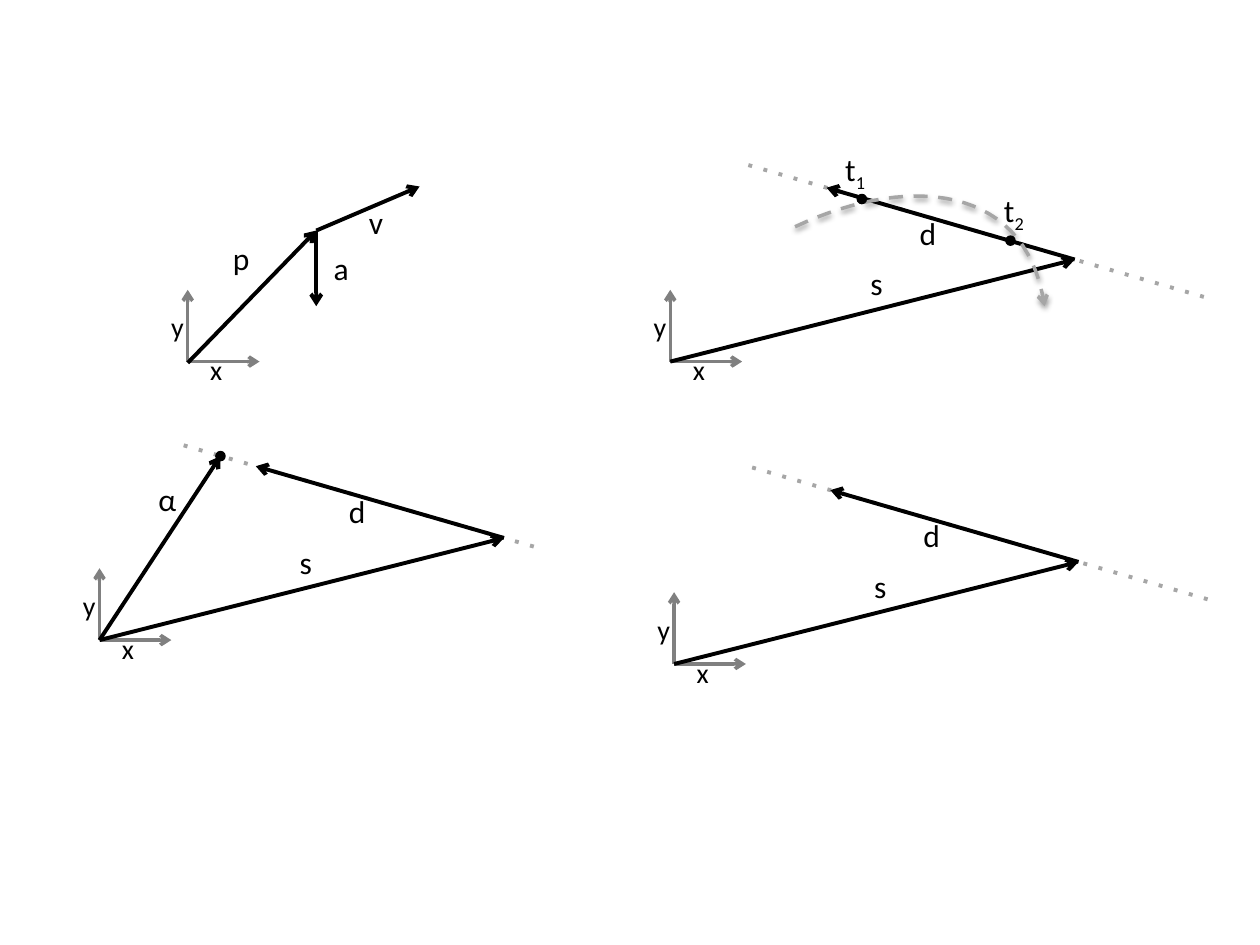
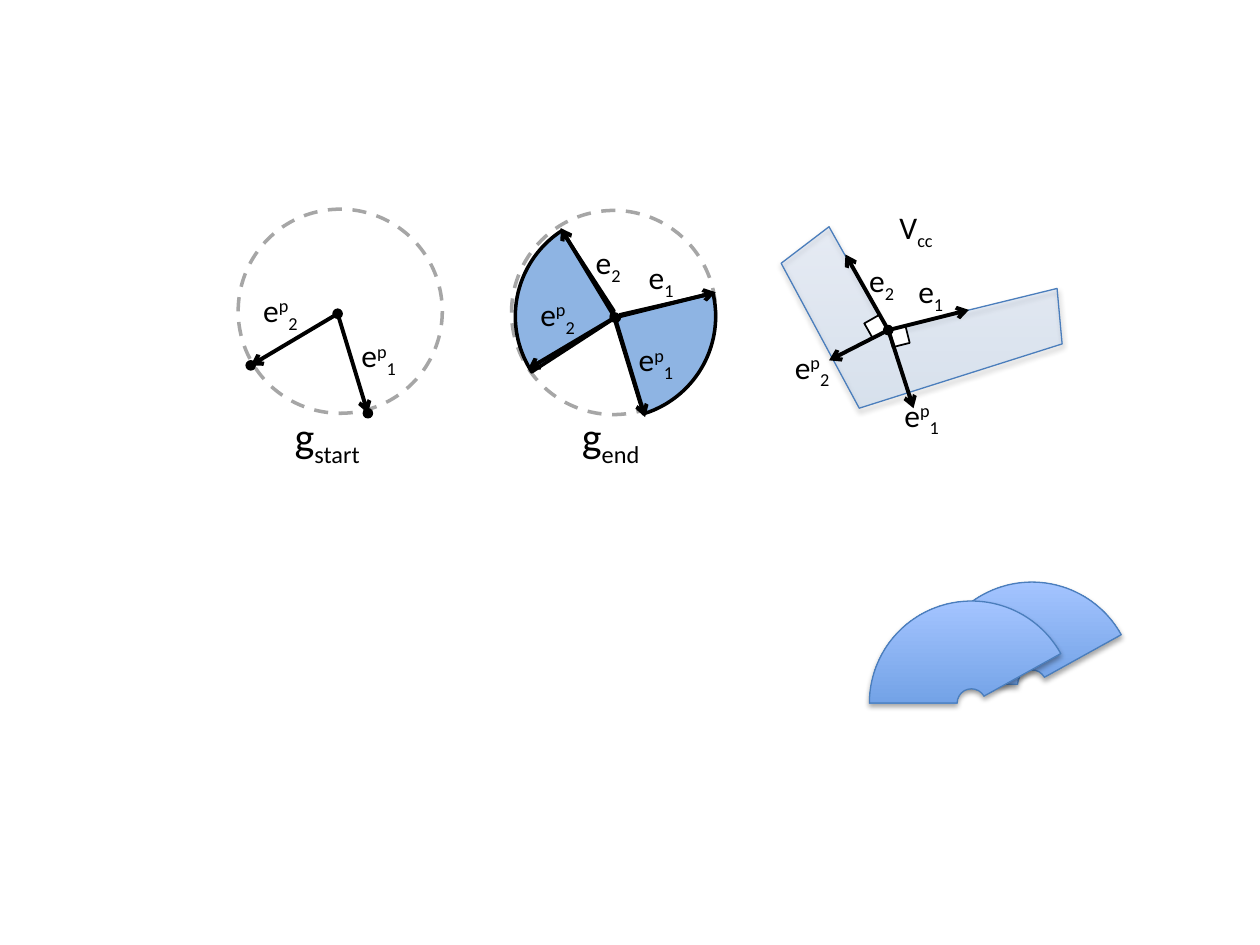
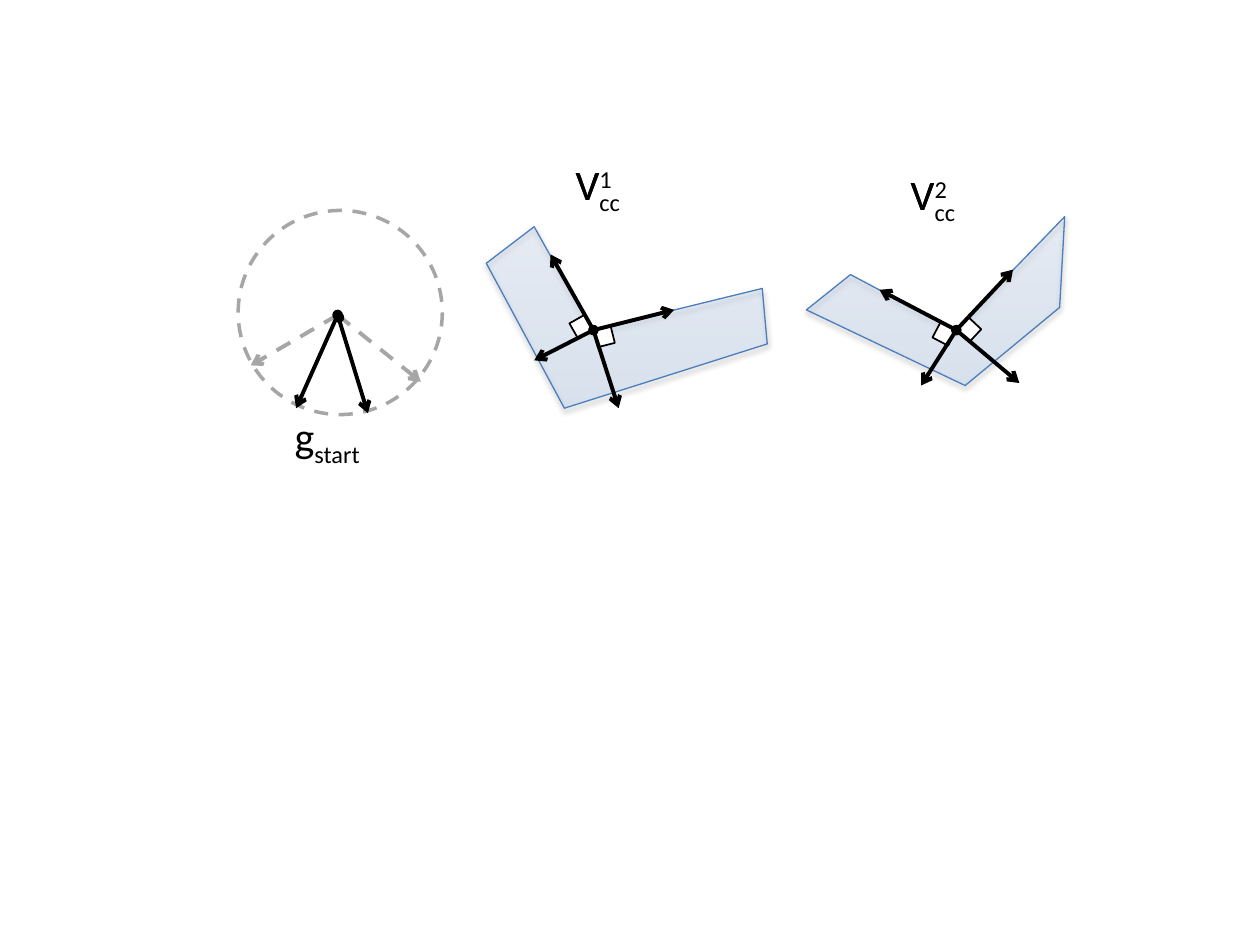
from math import atan2, degrees, hypot
from lxml.etree import SubElement
from pptx import Presentation
from pptx.dml.color import RGBColor
from pptx.enum.shapes import MSO_CONNECTOR, MSO_SHAPE
from pptx.enum.text import MSO_AUTO_SIZE
from pptx.oxml.ns import qn
from pptx.util import Emu, Pt

PX = 9144
FONT = "Calibri"
COLORS = {"ink": "000000", "axis": "808080", "guide": "A6A6A6", "paper": "FFFFFF",
          "sector": "8EB4E3", "edge": "4B7EBC", "deep": "3F80CE", "pale": "A4C4FF"}
STYLES = {
    "vector": {"line": "ink", "width": 2.25, "arrow": True},
    "axis": {"line": "axis", "width": 2, "arrow": True},
    "ray": {"line": "guide", "width": 2.25, "dash": "dot"},
    "ghost": {"line": "guide", "width": 2.25, "dash": "dash", "arrow": True},
    "path": {"line": "guide", "width": 2, "dash": "dash", "arrow": True, "shadow": 38},
    "dot": {"fill": "ink", "line": "ink", "width": 1},
    "circle": {"fill": "paper", "line": "guide", "width": 2, "dash": "dash"},
    "corner": {"fill": "paper", "line": "ink", "width": 1},
    "sector": {"fill": "sector", "line": "ink", "width": 2},
    "fan": {"gradient": 100, "line": "edge", "width": 0.75, "shadow": 35},
    "region": {"gradient": 15, "line": "edge", "width": 0.75, "shadow": 35},
}
TEXT = {"small": (16, 44, 37), "label": (18, 57, 40), "big": (24, 97, 50)}
CIRCLE, DOT, CORNER, AXIS = 162, 7, 14, 57

START_TIP, D_TIP = (321, -81), (124, -138)
WHEEL_TIPS = [(24, 79), (-69, 41)]
OBTUSE = {
    "outline": [(0, 0), (135, -33), (139, 11), (-22, 62), (-84, -53), (-46, -82)],
    "tips": [(64, -16), (-34, -60), (20, 62), (-47, 24)],
}
WIDE = {
    "outline": [(0, 0), (87, -90), (83, -18), (8, 44), (-118, -16), (-83, -44)],
    "tips": [(45, -48), (-61, -32), (50, 42), (-28, 44)],
}

SLIDES = [
    {
        "axes": [(149, 287)],
        "triangles": [((532, 287), (-0.52, 1.35)), ((535, 527), (-0.52, 1.35)),
                      ((79, 508), (-0.12, 1.31))],
        "arcs": [[(631, 180), (720, 138), (815, 145), (829, 243)]],
        "vectors": [("vector", (149, 288), [(102, -105)]),
                    ("vector", (251, 183), [(82, -35), (0, 60)]),
                    ("vector", (79, 508), [(96, -146)])],
        "dots": [(684, 158), (802, 191), (175, 362)],
        "texts": [("label", "p", 175, 185), ("label", "v", 283, 156),
                  ("label", "a", 255, 193), ("label", "α", 116, 376),
                  ("label", "t _1", 661, 114), ("label", "t _2", 787, 147)],
    },
    {
        "circles": [(487, 248), (270, 247)],
        "sectors": [("sector", (490, 251), (147, 237), 0.47),
                    ("sector", (487, 251), (347, 73), 0.47),
                    ("fan", (819, 543), (180, 331), 0.43),
                    ("fan", (771, 558), (180, 331), 0.43)],
        "bends": [((704, 262), OBTUSE)],
        "wheels": [(268, 249), (488, 252)],
        "vectors": [("vector", (488, 252), [(-43, -71), (80, -20)])],
        "dots": [(292, 328), (199, 290)],
        "texts": [("big", "g _start", 224, 321), ("big", "g _end", 452, 321),
                  ("label", "V _cc", 704, 160),
                  ("label", "e _1", 719, 211), ("label", "e _2", 680, 202),
                  ("label", "e ^p _1", 708, 309), ("label", "e ^p _2", 621, 271),
                  ("label", "e _1", 505, 200), ("label", "e _2", 463, 188)],
    },
    {
        "circles": [(270, 248)],
        "vectors": [("ghost", (268, 250), [(-69, 40), (66, 53)]),
                    ("vector", (268, 250), [(24, 78), (-33, 74)])],
        "dots": [(268, 250), (269, 252)],
        "bends": [((470, 262), OBTUSE), ((758, 262), WIDE)],
        "texts": [("big", "V ^1", 447, 121), ("big", "V _cc", 447, 121),
                  ("big", "V ^2", 713, 129), ("big", "V _cc", 713, 129),
                  ("big", "g _start", 224, 321)],
    },
]


def rgb(name):
    return RGBColor.from_string(COLORS[name])


def emu(*lengths):
    return [Emu(round(v * PX)) for v in lengths]


def shift(origin, offset):
    return origin[0] + offset[0], origin[1] + offset[1]


def mix(a, b, t):
    return tuple(u + (v - u) * t for u, v in zip(a, b))


def add(parent, tag, **attrs):
    return SubElement(parent, qn(tag), {k: str(v) for k, v in attrs.items()})


def fill_gradient(shape, opacity):
    shape.fill.gradient()
    shape.fill.gradient_angle = 90
    for stop, name in zip(shape.fill.gradient_stops, ("deep", "pale")):
        stop.color.rgb = rgb(name)
    for clr in shape._element.spPr.find(qn("a:gradFill")).iter(qn("a:srgbClr")):
        add(clr, "a:alpha", val=opacity * 1000)


def apply_style(shape, style):
    fmt = STYLES[style]
    spPr = shape._element.spPr
    shape.line.color.rgb = rgb(fmt["line"])
    shape.line.width = Pt(fmt["width"])
    ln = spPr.find(qn("a:ln"))
    if "dash" in fmt:
        add(ln, "a:prstDash", val=fmt["dash"])
    if "arrow" in fmt:
        add(ln, "a:tailEnd", type="arrow")
    if "gradient" in fmt:
        fill_gradient(shape, fmt["gradient"])
    elif "fill" in fmt:
        shape.fill.solid()
        shape.fill.fore_color.rgb = rgb(fmt["fill"])
    elif hasattr(shape, "fill"):
        shape.fill.background()
    effects = add(spPr, "a:effectLst")
    if "shadow" in fmt:
        shadow = add(effects, "a:outerShdw", blurRad=Pt(3), dist=Pt(1.7),
                     dir=5400000, rotWithShape=0)
        clr = add(shadow, "a:srgbClr", val=COLORS["ink"])
        add(clr, "a:alpha", val=fmt["shadow"] * 1000)


def draw_line(s, style, start, end):
    ends = emu(*start, *end)
    apply_style(s.shapes.add_connector(MSO_CONNECTOR.STRAIGHT, *ends), style)


def draw_shape(s, style, center, size, kind=MSO_SHAPE.OVAL):
    x, y = center
    shape = s.shapes.add_shape(kind, *emu(x - size / 2, y - size / 2, size, size))
    apply_style(shape, style)
    return shape


def draw_outline(s, style, points, close=True):
    points = [emu(*point) for point in points]
    builder = s.shapes.build_freeform(*points[0])
    builder.add_line_segments(points[1:], close=close)
    apply_style(builder.convert_to_shape(), style)


def draw_vectors(s, style, origin, tips):
    for tip in tips:
        draw_line(s, style, origin, shift(origin, tip))


def draw_text(s, style, text, x, y):
    size, width, height = TEXT[style]
    tf = s.shapes.add_textbox(*emu(x, y, width, height)).text_frame
    tf.word_wrap = True
    tf.auto_size = MSO_AUTO_SIZE.SHAPE_TO_FIT_TEXT
    p = tf.paragraphs[0]
    for token in text.split():
        r = p.add_run()
        r.text = token.lstrip("_^")
        for key, value in {"name": FONT, "size": Pt(size)}.items():
            setattr(r.font, key, value)
        r.font.color.rgb = rgb("ink")
        baseline = {"_": "-25000", "^": "30000"}.get(token[0])
        if baseline:
            r.font._element.set("baseline", baseline)


def draw_labels(s, origin, labels):
    for style, text, *offset in labels:
        draw_text(s, style, text, *shift(origin, offset))


def draw_axes(s, *origin):
    draw_vectors(s, "axis", origin, [(0, -AXIS), (AXIS, 0)])
    draw_labels(s, origin, [("small", "x", 8, -12), ("small", "y", -23, -46)])


def draw_triangle(s, origin, reach):
    start, tip = shift(origin, START_TIP), shift(origin, D_TIP)
    draw_line(s, "ray", *(mix(start, tip, t) for t in reach))
    draw_axes(s, *origin)
    draw_line(s, "vector", origin, start)
    draw_line(s, "vector", start, tip)
    draw_labels(s, origin, [("label", "s", 149, -82), ("label", "d", 188, -122)])


def draw_wheel(s, *origin):
    draw_vectors(s, "vector", origin, WHEEL_TIPS)
    draw_dot(s, *origin)
    draw_labels(s, origin, [("label", "e ^p _1", 9, 13), ("label", "e ^p _2", -69, -23)])


def draw_corner(s, origin, tip, side):
    x, y = (v / hypot(*tip) * CORNER / 2 for v in tip)
    center = shift(origin, (x - side * y, y + side * x))
    corner = draw_shape(s, "corner", center, CORNER, MSO_SHAPE.RECTANGLE)
    corner.rotation = degrees(atan2(y, x)) % 90


def draw_bend(s, origin, bend):
    draw_outline(s, "region", [shift(origin, point) for point in bend["outline"]])
    hub = shift(origin, (1, 0))
    for tip, side in zip(bend["tips"], (1, -1)):
        draw_corner(s, hub, tip, side)
    draw_dot(s, *hub)
    draw_vectors(s, "vector", hub, bend["tips"])


def draw_sector(s, style, center, angles, thickness):
    arc = draw_shape(s, style, center, CIRCLE, MSO_SHAPE.BLOCK_ARC)
    for i, value in enumerate([angle * 0.6 for angle in angles] + [thickness]):
        arc.adjustments[i] = value


def bezier(points, t):
    while len(points) > 1:
        points = [mix(a, b, t) for a, b in zip(points, points[1:])]
    return points[0]


def draw_arc(s, *controls, steps=30):
    points = [bezier(controls, n / steps) for n in range(steps + 1)]
    draw_outline(s, "path", points, close=False)


def draw_circle(s, *center):
    draw_shape(s, "circle", center, CIRCLE)


def draw_dot(s, *center):
    draw_shape(s, "dot", center, DOT)


DRAWERS = {"axes": draw_axes, "triangles": draw_triangle, "arcs": draw_arc,
           "vectors": draw_vectors, "dots": draw_dot, "texts": draw_text,
           "circles": draw_circle, "sectors": draw_sector, "bends": draw_bend,
           "wheels": draw_wheel}


def main():
    prs = Presentation()
    prs.slide_width, prs.slide_height = emu(1000, 750)
    for content in SLIDES:
        s = prs.slides.add_slide(prs.slide_layouts[6])
        for kind, items in content.items():
            for item in items:
                DRAWERS[kind](s, *item)
    prs.save("out.pptx")


if __name__ == "__main__":
    main()
